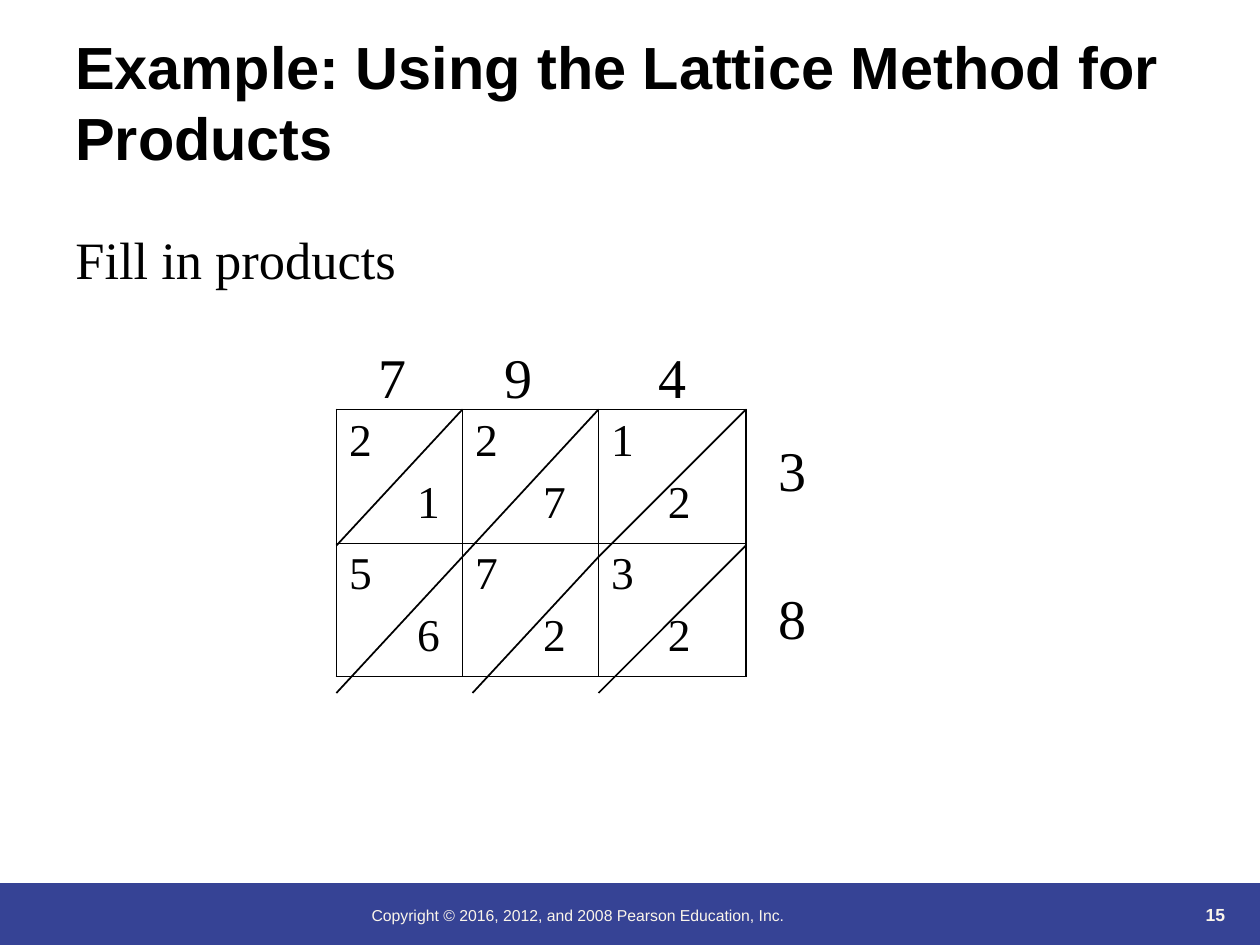
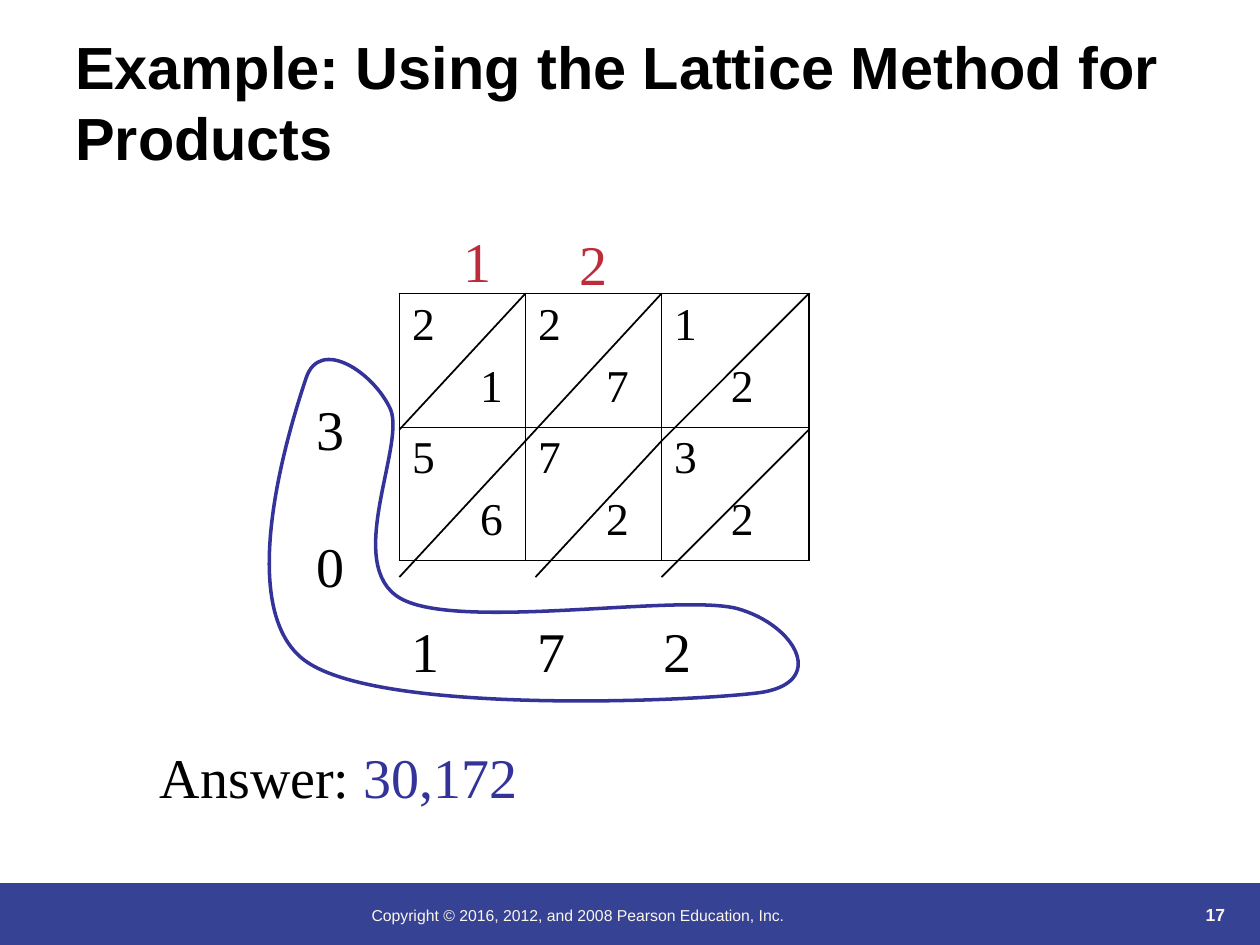
from lxml.etree import SubElement
from pptx import Presentation
from pptx.dml.color import RGBColor
from pptx.enum.shapes import MSO_CONNECTOR, MSO_SHAPE
from pptx.enum.text import MSO_ANCHOR, PP_ALIGN
from pptx.oxml.ns import qn
from pptx.util import Inches, Pt

COLORS = {
    "ink": "000000",
    "band": "364395",
    "footer": "FBF5EA",
    "answer": "333399",
    "carry": "BC2C3A",
}
HEADING_FONT, BODY_FONT = "Arial", "Times New Roman"
TITLE = "Example: Using the Lattice Method for Products"
COPYRIGHT = "Copyright © 2016, 2012, and 2008 Pearson Education, Inc."

COLUMN_WIDTHS = (1, 1.08, 1.17)
ROW_HEIGHT = 1.06
PRODUCTS = (("21", "27", "12"), ("56", "72", "32"))
UNITS_INDENTS = (0.54, 0.54, 0.45)
OUTER_BORDER, INNER_BORDER = 1.08, 0.45
# Start and end of each diagonal, from the lattice's top left corner
DIAGONALS = (
    ((0, 1.08), (1, 0)),
    ((1, 1.17), (2.08, 0)),
    ((0, 2.25), (1, 1.17)),
    ((2.08, 2.25), (3.25, 1.08)),
    ((1.08, 2.25), (2.08, 1.17)),
    ((2.08, 1.17), (3.25, 0)),
)
# Each curve: two control points and an end point, from the loop's top left corner
LOOP_START = (0.6, 0.33)
LOOP_CURVES = (
    ((0.49, 0.66), (0, 2.16), (0.6, 2.58)),
    ((1.2, 3), (3.61, 2.9), (4.18, 2.83)),
    ((4.75, 2.76), (4.49, 2.29), (4.02, 2.16)),
    ((3.55, 2.04), (1.81, 2.34), (1.35, 2.08)),
    ((0.89, 1.82), (1.39, 0.87), (1.27, 0.58)),
    ((1.14, 0.29), (0.71, 0), LOOP_START),
)


def rgb(name):
    return RGBColor.from_string(COLORS[name])


def write_text(paragraph, text, size=32, color="ink", font=BODY_FONT, bold=False,
               align=PP_ALIGN.LEFT, space_before=0, indent=0, tabs=()):
    """Add a run to the paragraph; tabs and indent are in inches."""
    properties = paragraph._p.get_or_add_pPr()
    if indent:
        properties.set("marL", str(Inches(indent)))
    if tabs:
        tab_list = SubElement(properties, qn("a:tabLst"))
        for position in tabs:
            SubElement(tab_list, qn("a:tab"), pos=str(Inches(position)), algn="l")
    paragraph.alignment = align
    paragraph.space_before = Pt(space_before)
    run = paragraph.add_run()
    run.text = text
    run.font.size = Pt(size)
    run.font.name = font
    run.font.bold = bold
    run.font.color.rgb = rgb(color)


def add_text(slide, box, text, anchor=MSO_ANCHOR.TOP, **text_format):
    frame = slide.shapes.add_textbox(*map(Inches, box)).text_frame
    frame.word_wrap = True
    frame.vertical_anchor = anchor
    write_text(frame.paragraphs[0], text, **text_format)
    return frame


def add_base_slide(presentation, number):
    """Add a slide with the shared title, band and footer."""
    slide = presentation.slides.add_slide(presentation.slide_layouts[6])
    band = slide.shapes.add_shape(MSO_SHAPE.RECTANGLE, *map(Inches, (0, 7.01, 10, 0.5)))
    band.shadow.inherit = False
    band.fill.solid()
    band.fill.fore_color.rgb = rgb("band")
    band.line.fill.background()
    add_text(slide, (2.85, 7.14, 4.92, 0.5), COPYRIGHT,
             size=9, color="footer", font=HEADING_FONT)
    add_text(slide, (8.9, 6.89, 0.92, 0.5), str(number), anchor=MSO_ANCHOR.BOTTOM,
             size=10, color="footer", font=HEADING_FONT, bold=True, align=PP_ALIGN.RIGHT)
    add_text(slide, (0.5, 0.17, 9, 1.25), TITLE, anchor=MSO_ANCHOR.BOTTOM,
             size=34, font=HEADING_FONT, bold=True)
    return slide


def set_borders(cell, widths):
    """Draw cell borders; widths maps L, R, T and B, in that order, to points."""
    properties = cell._tc.get_or_add_tcPr()
    for side, width in widths.items():
        line = SubElement(properties, qn(f"a:ln{side}"), w=str(Pt(width)))
        fill = SubElement(line, qn("a:solidFill"))
        SubElement(fill, qn("a:srgbClr"), val=COLORS["ink"])


def add_lattice(slide, left, top):
    rows, columns = len(PRODUCTS), len(COLUMN_WIDTHS)
    box = (left, top, sum(COLUMN_WIDTHS), rows * ROW_HEIGHT)
    table = slide.shapes.add_table(rows, columns, *map(Inches, box)).table
    table.first_row = table.horz_banding = False
    for column, width in zip(table.columns, COLUMN_WIDTHS):
        column.width = Inches(width)
    for row_index, products in enumerate(PRODUCTS):
        table.rows[row_index].height = Inches(ROW_HEIGHT)
        for column_index, (tens, units) in enumerate(products):
            cell = table.cell(row_index, column_index)
            write_text(cell.text_frame.paragraphs[0], tens, size=26)
            write_text(cell.text_frame.add_paragraph(), units, size=26,
                       space_before=6.5, indent=UNITS_INDENTS[column_index])
            on_edge = {
                "L": column_index == 0,
                "R": column_index == columns - 1,
                "T": row_index == 0,
                "B": row_index == rows - 1,
            }
            set_borders(cell, {side: OUTER_BORDER if outer else INNER_BORDER
                               for side, outer in on_edge.items()})
            cell.fill.background()
    for (start_x, start_y), (end_x, end_y) in DIAGONALS:
        ends = (left + start_x, top + start_y, left + end_x, top + end_y)
        diagonal = slide.shapes.add_connector(MSO_CONNECTOR.STRAIGHT, *map(Inches, ends))
        diagonal.line.color.rgb = rgb("ink")
        diagonal.line.width = Pt(1)
        SubElement(diagonal._element.spPr, qn("a:effectLst"))


def bend_segments(shape):
    """Turn each three line segments of a freeform into one Bézier curve."""
    segments = list(shape._element.iter(qn("a:lnTo")))
    for first, second, third in zip(*[iter(segments)] * 3):
        first.tag = qn("a:cubicBezTo")
        for segment in (second, third):
            first.append(segment[0])
            segment.getparent().remove(segment)


def add_answer_loop(slide, left, top):
    points = [LOOP_START, *(point for curve in LOOP_CURVES for point in curve)]
    start, *others = [(Inches(left + x), Inches(top + y)) for x, y in points]
    builder = slide.shapes.build_freeform(*start)
    builder.add_line_segments(others, close=True)
    loop = builder.convert_to_shape()
    bend_segments(loop)
    loop.shadow.inherit = False
    loop.fill.background()
    loop.line.color.rgb = rgb("answer")
    loop.line.width = Pt(2)


def build_products_slide(presentation):
    slide = add_base_slide(presentation, 15)
    add_text(slide, (0.5, 1.75, 8.08, 0.6), "Fill in products", size=30)
    left, top = 2.67, 3.25
    add_lattice(slide, left, top)
    add_text(slide, (left + 0.24, top - 0.58, 3.33, 0.64), "7\t9\t4", tabs=(1, 2.22))
    multiplier = add_text(slide, (left + 3.41, top + 0.16, 0.92, 1.8), "3")
    write_text(multiplier.add_paragraph(), "8", space_before=46)


def build_answer_slide(presentation):
    slide = add_base_slide(presentation, 17)
    answer = add_text(slide, (1.17, 5.84, 3.5, 0.64), "Answer: ")
    write_text(answer.paragraphs[0], "30,172", color="answer")
    left, top = 3.17, 2.33
    add_lattice(slide, left, top)
    add_text(slide, (left, top + 2.51, 3.67, 0.64), "1\t7\t2", tabs=(1, 2))
    for digit, offset in (("3", 0.75), ("0", 1.84)):
        add_text(slide, (left - 0.76, top + offset, 0.42, 0.64), digit)
    for carry, x, y in (("1", 0.41, -0.58), ("2", 1.33, -0.56)):
        add_text(slide, (left + x, top + y, 0.58, 0.64), carry, color="carry")
    add_answer_loop(slide, left - 1.34, top + 0.34)


def main():
    presentation = Presentation()
    presentation.slide_width = Inches(10)
    presentation.slide_height = Inches(7.5)
    build_products_slide(presentation)
    build_answer_slide(presentation)
    presentation.save("out.pptx")


if __name__ == "__main__":
    main()
